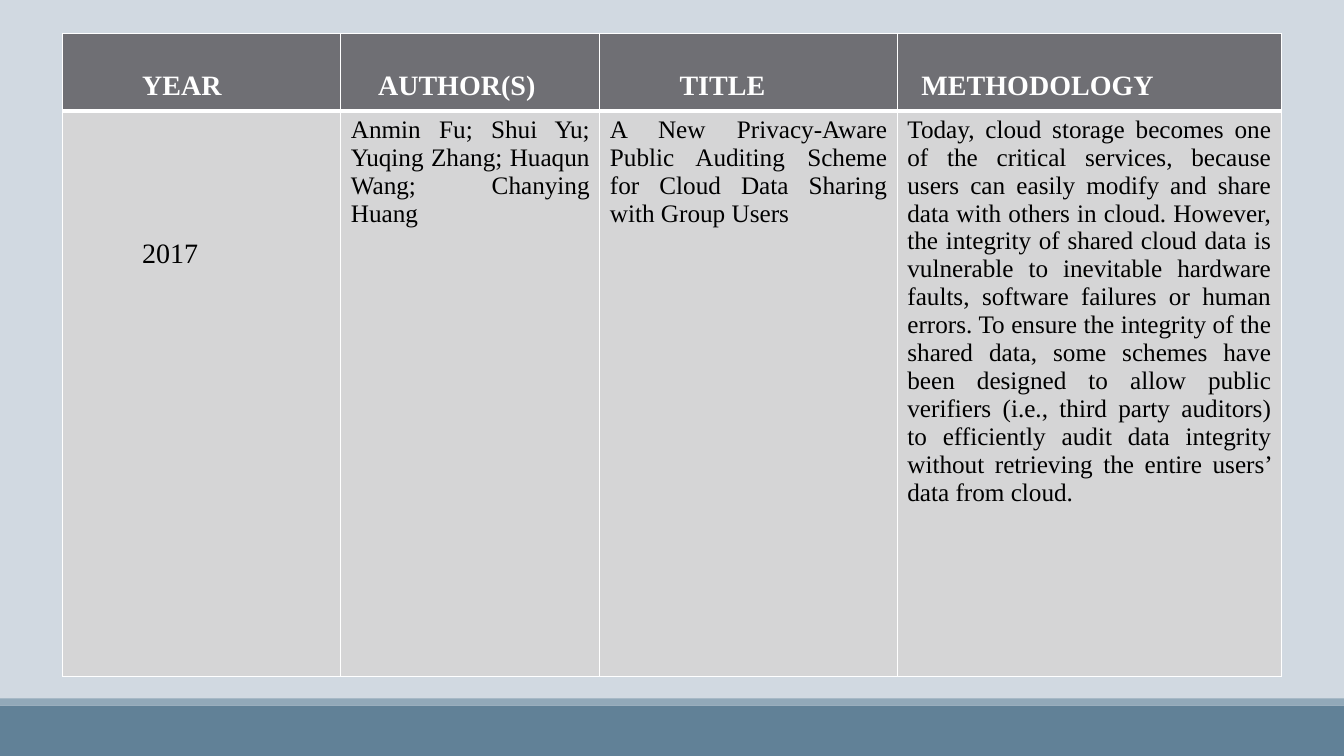
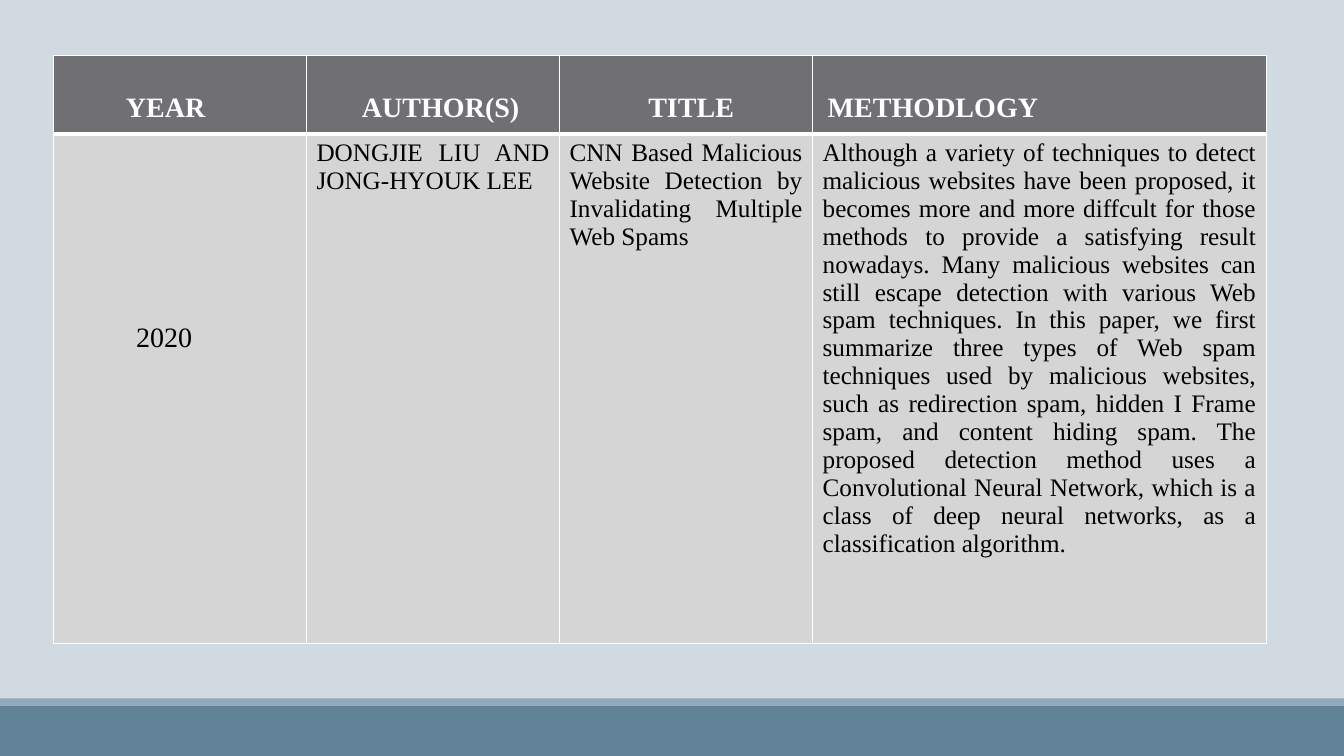
from dataclasses import dataclass
from lxml.etree import SubElement
from pptx import Presentation
from pptx.dml.color import RGBColor
from pptx.enum.shapes import MSO_SHAPE
from pptx.enum.text import PP_ALIGN
from pptx.oxml.ns import qn
from pptx.util import Inches, Pt


@dataclass(frozen=True)
class Theme:
    """Hold the colours, font and type sizes."""
    back: str = "D1D9E1"
    band: str = "618197"
    strip: str = "92A9B9"
    head: str = "6F6F74"
    body: str = "D5D5D6"
    light: str = "FFFFFF"
    dark: str = "000000"
    font: str = "Times New Roman"
    large: int = 20
    small: int = 18
    thin: int = 1
    thick: int = 3


def write(cell, text, *, font, size, color, bold=False, align=PP_ALIGN.LEFT,
          left=0.1, top=0.05):
    """Write formatted text into a table cell, inset in inches."""
    cell.margin_left, cell.margin_top = Inches(left), Inches(top)
    para = cell.text_frame.paragraphs[0]
    para.alignment = align
    run = para.add_run()
    run.text = text
    run.font.name = font
    run.font.size = Pt(size)
    run.font.bold = bold
    run.font.color.rgb = RGBColor.from_string(color)


class Deck:
    """Build slides in one style."""

    def __init__(self, theme):
        """Open a wide deck with a plain background."""
        self.theme = theme
        self.prs = Presentation()
        self.prs.slide_width, self.prs.slide_height = Inches(13.33), Inches(7.5)
        self.paint(self.prs.slide_master.background.fill, theme.back)
        self.slide = None

    def paint(self, fill, color):
        """Make a fill solid."""
        fill.solid()
        fill.fore_color.rgb = RGBColor.from_string(color)

    def page(self):
        """Start a slide with its footer bands."""
        self.slide = self.prs.slides.add_slide(self.prs.slide_layouts[6])
        self.bar(7, 0.5, self.theme.band)
        self.bar(6.93, 0.07, self.theme.strip)

    def bar(self, top, height, color):
        """Draw a band across the slide."""
        shape = self.slide.shapes.add_shape(
            MSO_SHAPE.RECTANGLE, 0, Inches(top), self.prs.slide_width, Inches(height))
        shape.shadow.inherit = False
        shape.line.fill.background()
        self.paint(shape.fill, color)

    def edge(self, cell, **widths):
        """Rule the named sides of a cell."""
        props = cell._tc.get_or_add_tcPr()
        for side, width in widths.items():
            line = SubElement(props, qn(f"a:ln{side}"), w=str(Pt(width)))
            fill = SubElement(line, qn("a:solidFill"))
            SubElement(fill, qn("a:srgbClr"), val=self.theme.light)

    def table(self, left, top, cols, rows, heads, insets, year, texts):
        """Add a table with a heading row and one study."""
        look = self.theme
        frame = self.slide.shapes.add_table(
            len(rows), len(cols), Inches(left), Inches(top),
            Inches(sum(cols)), Inches(sum(rows)))
        grid = frame.table
        for col, width in zip(grid.columns, cols):
            col.width = Inches(width)
        for row, height in zip(grid.rows, rows):
            row.height = Inches(height)
        thin = look.thin
        for index, (head, inset) in enumerate(zip(heads, insets)):
            cell = grid.cell(0, index)
            self.edge(cell, L=thin, R=thin, T=thin, B=look.thick)
            self.paint(cell.fill, look.head)
            write(cell, head, font=look.font, size=look.large, color=look.light,
                  bold=True, left=inset, top=0.37)
            cell = grid.cell(1, index)
            self.edge(cell, L=thin, R=thin, B=thin)
            self.paint(cell.fill, look.body)
        date, inset, drop = year
        write(grid.cell(1, 0), date, font=look.font, size=look.large,
              color=look.dark, left=inset, top=drop)
        for index, text in enumerate(texts, 1):
            write(grid.cell(1, index), text, font=look.font, size=look.small,
                  color=look.dark, align=PP_ALIGN.JUSTIFY)


STUDIES = [
    dict(
        left=0.62, top=0.33,
        cols=[2.76, 2.57, 2.95, 3.81], rows=[0.77, 5.61],
        heads=["YEAR", "AUTHOR(S)", "TITLE", "METHODOLOGY"],
        insets=[0.79, 0.37, 0.79, 0.24],
        year=("2017", 0.79, 1.27),
        texts=[
            "Anmin Fu; Shui Yu; Yuqing Zhang; Huaqun Wang; Chanying Huang",
            "A New Privacy-Aware Public Auditing Scheme for Cloud Data Sharing "
            "with Group Users",
            "Today, cloud storage becomes one of the critical services, because "
            "users can easily modify and share data with others in cloud. However, "
            "the integrity of shared cloud data is vulnerable to inevitable hardware "
            "faults, software failures or human errors. To ensure the integrity of "
            "the shared data, some schemes have been designed to allow public "
            "verifiers (i.e., third party auditors) to efficiently audit data "
            "integrity without retrieving the entire users’ data from cloud.",
        ],
    ),
    dict(
        left=0.53, top=0.55,
        cols=[2.51, 2.51, 2.51, 4.5], rows=[0.78, 5.05],
        heads=["YEAR", "AUTHOR(S)", "TITLE", "METHODLOGY"],
        insets=[0.72, 0.55, 0.88, 0.15],
        year=("2020", 0.82, 1.87),
        texts=[
            "DONGJIE LIU AND JONG-HYOUK LEE",
            "CNN Based Malicious Website Detection by Invalidating Multiple Web Spams",
            "Although a variety of techniques to detect malicious websites have been "
            "proposed, it becomes more and more diffcult for those methods to provide "
            "a satisfying result nowadays. Many malicious websites can still escape "
            "detection with various Web spam techniques. In this paper, we first "
            "summarize three types of Web spam techniques used by malicious websites, "
            "such as redirection spam, hidden I Frame spam, and content hiding spam. "
            "The proposed detection method uses a Convolutional Neural Network, which "
            "is a class of deep neural networks, as a classification algorithm.",
        ],
    ),
]


def main():
    """Build and save the deck."""
    deck = Deck(Theme())
    for study in STUDIES:
        deck.page()
        deck.table(**study)
    deck.prs.save("out.pptx")


if __name__ == "__main__":
    main()
